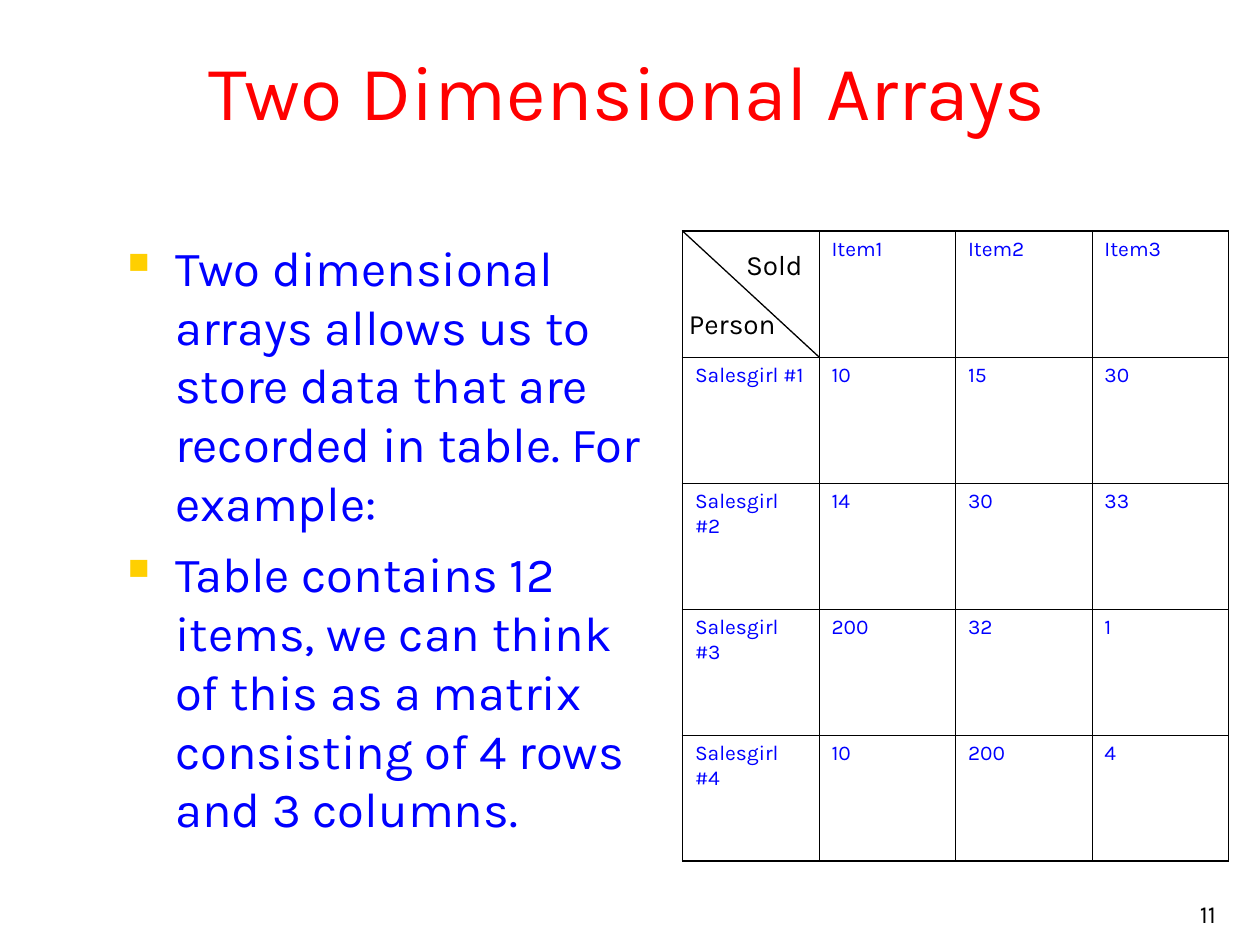
from dataclasses import dataclass

from lxml.etree import SubElement
from pptx import Presentation
from pptx.dml.color import RGBColor as Color
from pptx.enum.shapes import MSO_CONNECTOR as Connector
from pptx.enum.text import MSO_ANCHOR as Anchor, MSO_AUTO_SIZE as AutoSize, PP_ALIGN as Align
from pptx.oxml.ns import qn
from pptx.util import Pt


@dataclass(frozen=True)
class Theme:
    font: str = "Karla"
    red: str = "FF0000"
    blue: str = "0000FF"
    gold: str = "FFCF01"
    black: str = "000000"
    white: str = "FFFFFF"
    title_size: float = 44
    body_size: float = 28
    label_size: float = 16
    number_size: float = 14
    cell_size: float = 12
    outer_border: float = 1.08
    inner_border: float = 0.45


class SlideBuilder:
    def __init__(self, slide, theme):
        self.slide = slide
        self.theme = theme

    def style(self, para, size, color, align=Align.LEFT):
        para.alignment = align
        para.font.name = self.theme.font
        para.font.size = Pt(size)
        para.font.color.rgb = Color.from_string(color)

    def title(self, text, left, top, width, height):
        box = self.slide.shapes.title
        box.left, box.top, box.width, box.height = map(Pt, (left, top, width, height))
        box.fill.solid()
        box.fill.fore_color.rgb = Color.from_string(self.theme.white)
        frame = box.text_frame
        frame.text = text
        frame.vertical_anchor = Anchor.MIDDLE
        frame.auto_size = AutoSize.NONE
        self.style(frame.paragraphs[0], self.theme.title_size, self.theme.red, Align.CENTER)

    def text_box(self, left, top, width, height, wrap=True, anchor=Anchor.TOP):
        box = self.slide.shapes.add_textbox(*map(Pt, (left, top, width, height)))
        frame = box.text_frame
        frame.word_wrap = wrap
        frame.auto_size = AutoSize.NONE if wrap else AutoSize.SHAPE_TO_FIT_TEXT
        frame.vertical_anchor = anchor
        return frame

    def label(self, text, left, top, width, height):
        para = self.text_box(left, top, width, height, wrap=False).paragraphs[0]
        para.text = text
        self.style(para, self.theme.label_size, self.theme.black, Align.CENTER)

    def page_number(self, text, left, top, width, height):
        para = self.text_box(left, top, width, height, anchor=Anchor.BOTTOM).paragraphs[0]
        para.text = text
        self.style(para, self.theme.number_size, self.theme.black, Align.RIGHT)

    def bullets(self, items, left, top, width, height, indent=27):
        frame = self.text_box(left, top, width, height)
        for index, item in enumerate(items):
            para = frame.add_paragraph() if index else frame.paragraphs[0]
            para.text = item
            if index:
                para.space_before = Pt(7)
            properties = para._p.get_or_add_pPr()
            properties.set("marL", str(Pt(indent)))
            properties.set("indent", str(-Pt(indent)))
            color = SubElement(properties, qn("a:buClr"))
            SubElement(color, qn("a:srgbClr"), val=self.theme.gold)
            SubElement(properties, qn("a:buSzPct"), val="60000")
            SubElement(properties, qn("a:buChar"), char="■")
            self.style(para, self.theme.body_size, self.theme.blue)

    def border(self, cell, side, width):
        line = SubElement(cell._tc.get_or_add_tcPr(), qn(f"a:ln{side}"), w=str(Pt(width)))
        fill = SubElement(line, qn("a:solidFill"))
        SubElement(fill, qn("a:srgbClr"), val=self.theme.black)

    def table(self, rows, left, top, column_width, row_height):
        row_count, column_count = len(rows), len(rows[0])
        size = column_width * column_count, row_height * row_count
        grid = self.slide.shapes.add_table(
            row_count, column_count, *map(Pt, (left, top, *size))).table
        grid.first_row = grid.horz_banding = False
        for column in grid.columns:
            column.width = Pt(column_width)
        for row in grid.rows:
            row.height = Pt(row_height)
        for r, values in enumerate(rows):
            for c, value in enumerate(values):
                cell = grid.cell(r, c)
                outer_sides = {"L": c == 0, "R": c == column_count - 1,
                               "T": r == 0, "B": r == row_count - 1}
                for side, outer in outer_sides.items():
                    self.border(cell, side,
                                self.theme.outer_border if outer else self.theme.inner_border)
                cell.fill.background()
                cell.text = value
                self.style(cell.text_frame.paragraphs[0], self.theme.cell_size, self.theme.blue)

    def line(self, start_x, start_y, end_x, end_y):
        line = self.slide.shapes.add_connector(
            Connector.STRAIGHT, *map(Pt, (start_x, start_y, end_x, end_y)))
        line.line.color.rgb = Color.from_string(self.theme.black)
        line.line.width = Pt(0.75)
        SubElement(line._element.spPr, qn("a:effectLst"))


def main():
    deck = Presentation()
    deck.slide_width, deck.slide_height = Pt(720), Pt(540)
    page = SlideBuilder(deck.slides.add_slide(deck.slide_layouts[5]), Theme())

    # Title and explanation
    page.title("Two Dimensional Arrays", 12, 12, 693, 78)
    page.bullets([
        "Two dimensional arrays allows us to store data that are recorded in table. For example:",
        "Table contains 12 items, we can think of this as a matrix "
        "consisting of 4 rows and 3 columns.",
    ], 66, 132, 312, 351)

    # Sales table
    left, top, column_width, row_height = 390, 132, 78, 72
    sales = [("10", "15", "30"), ("14", "30", "33"), ("200", "32", "1"), ("10", "200", "4")]
    rows = [("", "Item1", "Item2", "Item3")]
    rows += [(f"Salesgirl #{number}", *counts) for number, counts in enumerate(sales, 1)]
    page.table(rows, left, top, column_width, row_height)

    # Split corner cell
    page.line(left + column_width, top + row_height, left, top)
    page.label("Sold", 419, 138, 47, 26.5)
    page.label("Person", 385, 171.5, 67, 26.5)

    # Page number
    page.page_number("11", 552, 498, 150, 36)

    deck.save("out.pptx")


if __name__ == "__main__":
    main()
